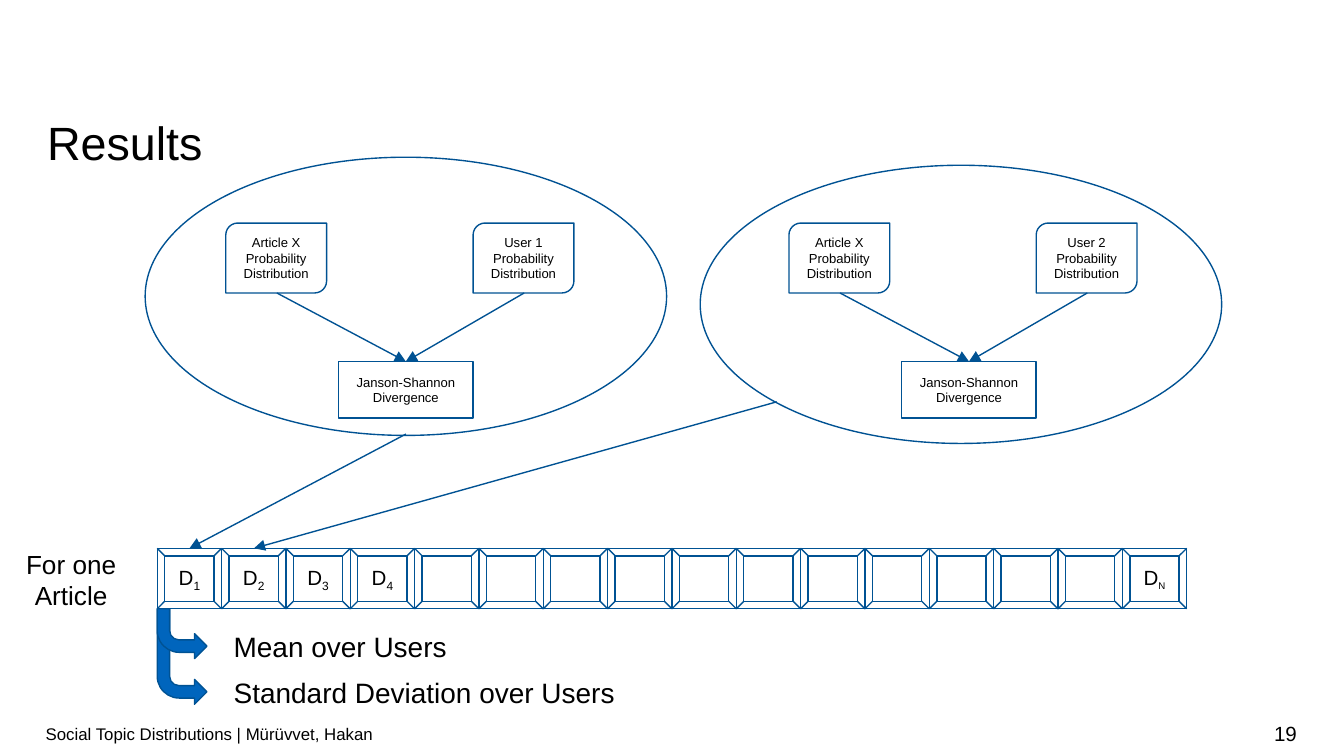
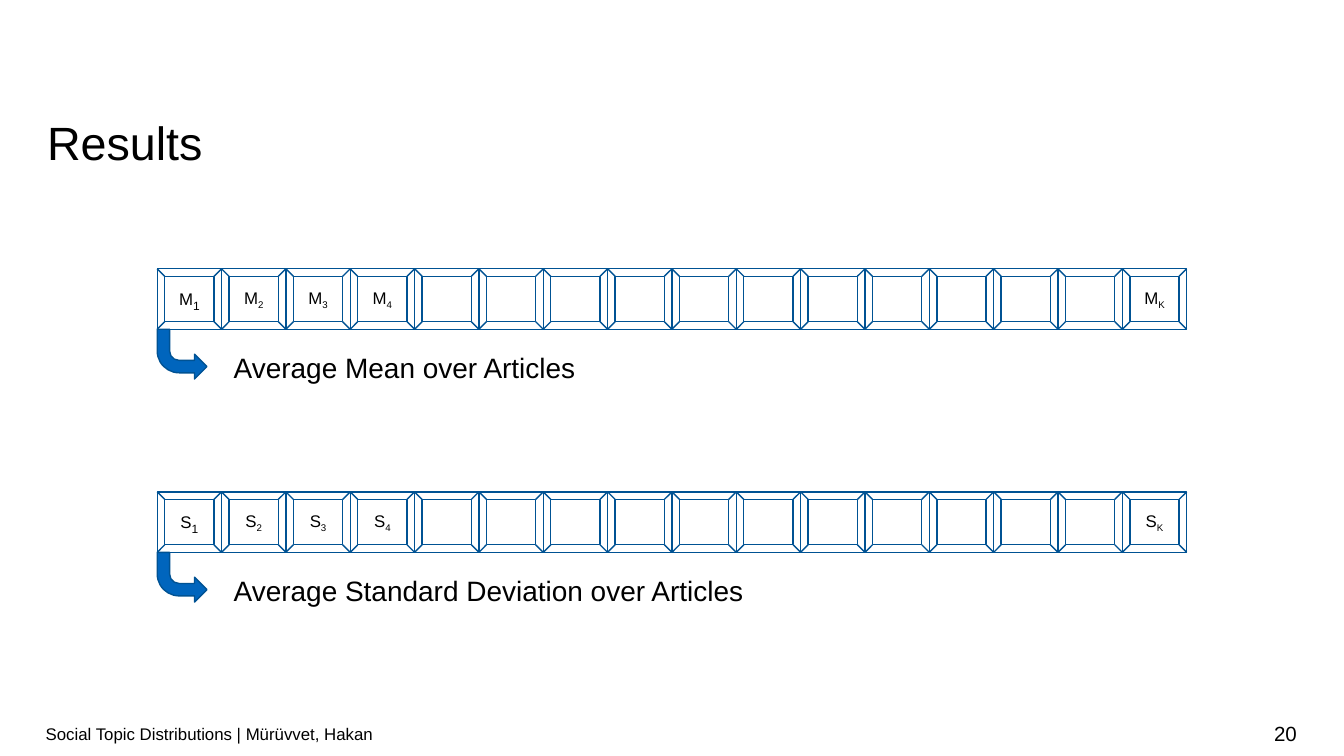
from lxml import etree
from pptx import Presentation
from pptx.dml.color import RGBColor
from pptx.enum.shapes import MSO_CONNECTOR, MSO_SHAPE
from pptx.enum.text import MSO_ANCHOR, PP_ALIGN
from pptx.oxml.ns import qn
from pptx.util import Inches, Pt

BLUE = RGBColor(0x00, 0x65, 0xBD)
DARK_BLUE = RGBColor(0x00, 0x52, 0x93)
BLACK = RGBColor(0, 0, 0)
FONT = "Arial"
LEFT, CENTER, RIGHT = PP_ALIGN.LEFT, PP_ALIGN.CENTER, PP_ALIGN.RIGHT
TOP, MIDDLE = MSO_ANCHOR.TOP, MSO_ANCHOR.MIDDLE
RECT, ELLIPSE, BEVEL = MSO_SHAPE.RECTANGLE, MSO_SHAPE.OVAL, MSO_SHAPE.BEVEL
CARD, BENT_ARROW = MSO_SHAPE.ROUND_2_DIAG_RECTANGLE, MSO_SHAPE.BENT_ARROW
STRAIGHT = MSO_CONNECTOR.STRAIGHT

SLIDE_W = 10
SLIDE_H = SLIDE_W * 9 / 16
FOOTER = "Social Topic Distributions | Mürüvvet, Hakan"
ROW_X, ROW_W, CELLS, CELL_H = 1.17, 7.66, 16, 0.45
CELL_W = ROW_W / CELLS


def add_shape(s, kind, x, y, w, h, adjustments=()):
    """Add an unfilled outlined shape, or a text box if kind is None."""
    box = [Inches(v) for v in (x, y, w, h)]
    if kind is None:
        return s.shapes.add_textbox(*box)
    sp = s.shapes.add_shape(kind, *box)
    sp.shadow.inherit = False
    sp.fill.background()
    sp.line.color.rgb = DARK_BLUE
    sp.line.width = Pt(0.75)
    for i, value in enumerate(adjustments):
        sp.adjustments[i] = value
    return sp


def add_text(sp, runs, align=LEFT, anchor=MIDDLE, insets=(0.1, 0.1), wrap=True):
    """Write (text, size) runs; every run after the first is a subscript."""
    tf = sp.text_frame
    tf.word_wrap = wrap
    tf.vertical_anchor = anchor
    tf.margin_left = tf.margin_right = Inches(insets[0])
    tf.margin_top = tf.margin_bottom = Inches(insets[1])
    p = tf.paragraphs[0]
    p.alignment = align
    for i, (text, size) in enumerate(runs):
        r = p.add_run()
        r.text = text
        r.font.name = FONT
        r.font.size = Pt(size)
        r.font.color.rgb = BLACK
        if i:
            r.font._element.set("baseline", "-25000")
    return p


# Each row: top, letter, letter size, subscripts by cell, (arrow height, caption)
SUBS_D = {0: ("1", 11), 1: ("2", 11), 2: ("3", 11), 3: ("4", 11), 15: ("N", 9)}
SUBS_K = {0: ("1", 11), 1: ("2", 9), 2: ("3", 9), 3: ("4", 9), 15: ("K", 9)}
SLIDES = [
    ("19", [(4.08, "D", 11, SUBS_D, [(0.71, "Standard Deviation over Users"),
                                     (0.37, "Mean over Users")])]),
    ("20", [(2, "M", 9, SUBS_K, [(0.37, "Average Mean over Articles")]),
            (3.66, "S", 9, SUBS_K,
             [(0.37, "Average Standard Deviation over Articles")])]),
]

prs = Presentation()
prs.slide_width, prs.slide_height = Inches(SLIDE_W), Inches(SLIDE_H)

for number, rows in SLIDES:
    s = prs.slides.add_slide(prs.slide_layouts[6])

    # Title, footer and page number
    p = add_text(add_shape(s, None, 0.35, 0.73, 9.31, 0.45),
                 [("Results", 25)], anchor=TOP, insets=(0, 0))
    p.line_spacing = 1.28
    add_text(add_shape(s, None, 0.34, 5.31, 7.07, 0.3), [(FOOTER, 9)], insets=(0, 0.05))
    add_text(add_shape(s, None, 7.41, 5.31, 2.24, 0.3), [(number, 11)], RIGHT,
             insets=(0, 0.05))

    # Rows of bevelled cells, with bent arrows to their captions
    for top, letter, size, subs, results in rows:
        for i in range(CELLS):
            sp = add_shape(s, BEVEL, ROW_X + i * CELL_W, top, CELL_W, CELL_H, [0.125])
            if i in subs:
                add_text(sp, [(letter, size), subs[i]], CENTER, wrap=False)
        bottom = top + CELL_H
        for height, caption in results:
            sp = add_shape(s, BENT_ARROW, ROW_X, bottom, 0.37, height,
                           [0.25, 0.25, 0.25, 0.44])
            sp.fill.solid()
            sp.fill.fore_color.rgb = BLUE
            sp.rotation = 180
            sp._element.spPr.find(qn("a:xfrm")).set("flipH", "1")
            add_text(add_shape(s, None, 1.64, bottom + height - 0.24, 5.62, 0.3),
                     [(caption, 15)])

# Slide 19: label of the row
s = prs.slides[0]
add_text(add_shape(s, None, 0.03, 3.98, 1, 0.65), [("For one Article", 14)], CENTER, TOP)

# Slide 19: one divergence diagram per user
arrows = [(3.02, 3.23, 1.41, 4.08), (5.78, 2.99, 1.89, 4.08)]
for user, dx, oval_x, oval_y in [("User 1", 0, 1.08, 1.17), ("User 2", 4.19, 5.21, 1.23)]:
    for name, x in [("Article X", 1.68 + dx), (user, 3.52 + dx)]:
        add_text(add_shape(s, CARD, x, 1.66, 0.75, 0.52, [0.17, 0]),
                 [(name + " Probability Distribution", 7)], CENTER)
        arrows.append((x + 0.38, 2.18, 3.02 + dx, 2.69))
    add_text(add_shape(s, RECT, 2.52 + dx, 2.69, 1, 0.42),
             [("Janson-Shannon Divergence", 7)], CENTER)
    add_shape(s, ELLIPSE, oval_x, oval_y, 3.88, 2.07)

# Slide 19: arrows
for ends in arrows:
    c = s.shapes.add_connector(STRAIGHT, *[Inches(v) for v in ends])
    c.line.color.rgb = DARK_BLUE
    c.line.width = Pt(0.75)
    etree.SubElement(c.line._get_or_add_ln(), qn("a:tailEnd"), type="triangle")
    etree.SubElement(c._element.spPr, qn("a:effectLst"))

prs.save("out.pptx")
